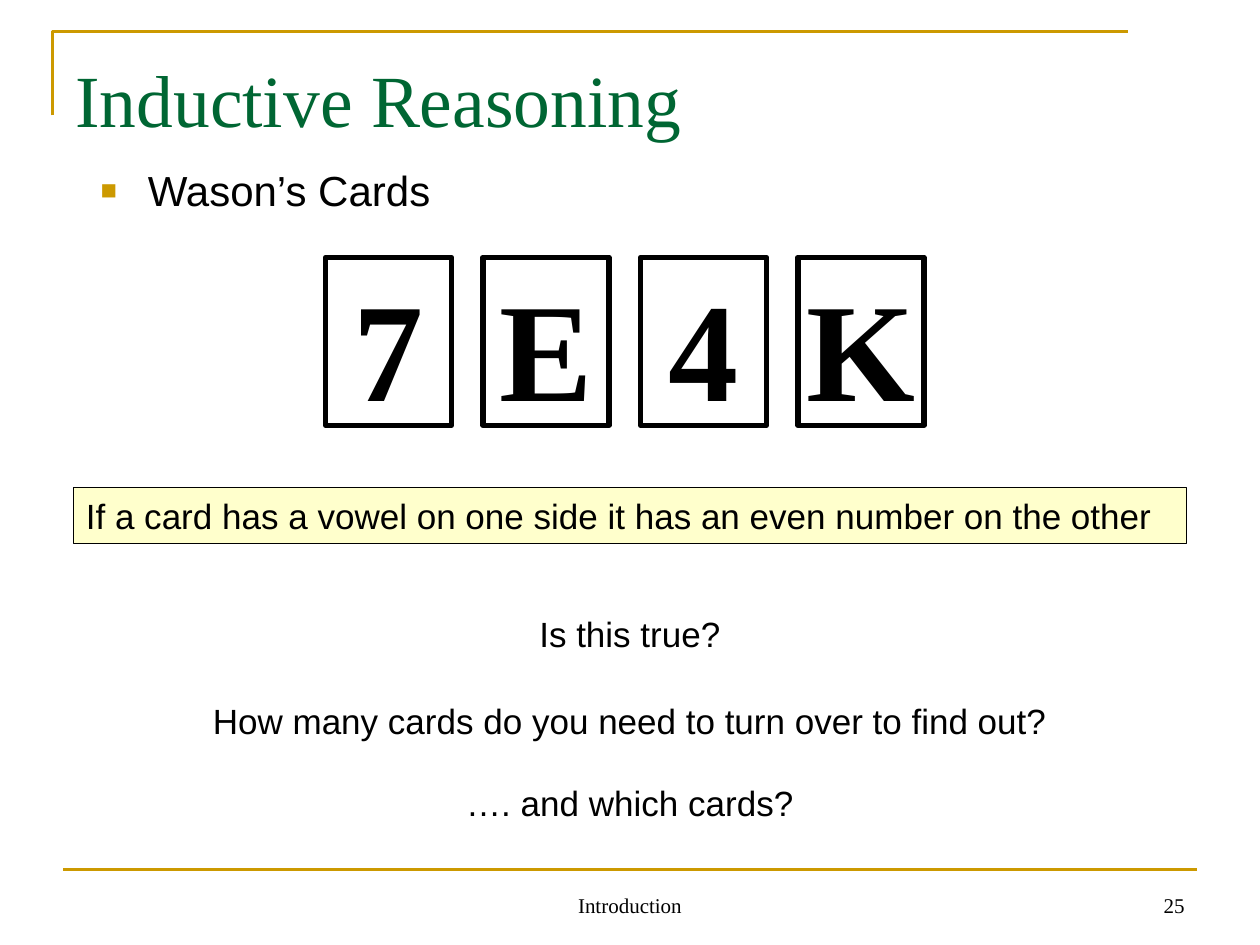
"""Build the Inductive Reasoning slide on Wason's cards."""
import pptx
import pptx.dml.color
import pptx.enum.shapes
import pptx.enum.text
import pptx.oxml.ns
import pptx.util
from lxml import etree

Pt = pptx.util.Pt
ALIGN = pptx.enum.text.PP_ALIGN
ANCHOR = pptx.enum.text.MSO_ANCHOR
COLORS = {"gold": "CC9900", "green": "006633", "ink": "000000", "note": "FFFFCC"}
SERIF = {"name": "Times New Roman", "size": Pt(12), "bold": False}
SANS = {"name": "Arial", "size": Pt(20), "bold": False}


def rgb(name):
    return pptx.dml.color.RGBColor.from_string(COLORS[name])


def set_attributes(target, values):
    for name, value in values.items():
        setattr(target, name, value)


def set_line(line, color, width):
    line.color.rgb = rgb(color)
    line.width = Pt(width)


def write(shape, lines, font, color="ink", align=ALIGN.LEFT, anchor=ANCHOR.TOP,
          insets=(7.2, 3.6, 7.2, 3.6), gaps=(0,)):
    frame = shape.text_frame
    sides = ("margin_left", "margin_top", "margin_right", "margin_bottom")
    set_attributes(frame, dict(zip(sides, map(Pt, insets))))
    set_attributes(frame, {"word_wrap": True, "vertical_anchor": anchor})
    frame.text = "\n".join(lines)
    for paragraph, gap in zip(frame.paragraphs, gaps):
        set_attributes(paragraph, {"alignment": align, "space_before": Pt(gap)})
        for run in paragraph.runs:
            set_attributes(run.font, font)
            run.font.color.rgb = rgb(color)


def add_text(slide, box, lines, font, **options):
    shape = slide.shapes.add_textbox(*map(Pt, box))
    write(shape, lines, font, **options)
    return shape


def add_box(slide, box, text, font, line_width, fill=None, **options):
    shape = slide.shapes.add_shape(
        pptx.enum.shapes.MSO_SHAPE.RECTANGLE, *map(Pt, box))
    shape.shadow.inherit = False
    if fill:
        shape.fill.solid()
        shape.fill.fore_color.rgb = rgb(fill)
    else:
        shape.fill.background()
    set_line(shape.line, "ink", line_width)
    write(shape, [text], font, anchor=ANCHOR.MIDDLE, **options)


def add_bullet(paragraph, indent):
    properties = paragraph._p.get_or_add_pPr()
    properties.set("marL", str(Pt(indent)))
    properties.set("indent", str(-Pt(indent)))
    qn = pptx.oxml.ns.qn
    color = etree.SubElement(properties, qn("a:buClr"))
    etree.SubElement(color, qn("a:srgbClr"), val=COLORS["gold"])
    etree.SubElement(properties, qn("a:buSzPct"), val="65000")
    etree.SubElement(properties, qn("a:buFont"), typeface="Arial")
    etree.SubElement(properties, qn("a:buChar"), char="■")


def add_corner(slide):
    builder = slide.shapes.build_freeform(Pt(30), Pt(66))
    builder.add_line_segments([(Pt(30), Pt(18)), (Pt(644.4), Pt(18))], close=False)
    corner = builder.convert_to_shape()
    corner.shadow.inherit = False
    corner.fill.background()
    set_line(corner.line, "gold", 1.5)


def add_rule(slide, left, right, top):
    rule = slide.shapes.add_connector(
        pptx.enum.shapes.MSO_CONNECTOR.STRAIGHT, Pt(left), Pt(top), Pt(right), Pt(top))
    set_line(rule.line, "gold", 1.5)
    etree.SubElement(rule._element.spPr, pptx.oxml.ns.qn("a:effectLst"))


def add_cards(slide, symbols):
    font = {**SERIF, "size": Pt(80), "bold": True}
    for index, symbol in enumerate(symbols):
        add_box(slide, (186 + 90 * index, 147, 72, 96), symbol, font, 3,
                align=ALIGN.CENTER, insets=(0, 5, 0, 0))


def main():
    presentation = pptx.Presentation()
    set_attributes(presentation, {"slide_width": Pt(720), "slide_height": Pt(540)})
    slide = presentation.slides.add_slide(presentation.slide_layouts[6])
    add_corner(slide)
    add_rule(slide, 36, 684, 496.8)
    add_text(slide, (246, 492, 228, 36), ["Introduction"], SERIF,
             align=ALIGN.CENTER, anchor=ANCHOR.BOTTOM)
    add_text(slide, (516, 492, 168, 36), ["25"], SERIF,
             align=ALIGN.RIGHT, anchor=ANCHOR.BOTTOM)
    add_text(slide, (36, 21.6, 648, 90), ["Inductive Reasoning"],
             {**SERIF, "size": Pt(42)}, color="green", insets=(7.2, 9, 7.2, 3.6))
    topic = add_text(slide, (50.4, 77, 643, 357), ["Wason’s Cards"],
                     {**SANS, "size": Pt(24)}, insets=(7.2, 17.3, 7.2, 3.6))
    add_bullet(topic.text_frame.paragraphs[0], 27)
    questions = ["Is this true?",
                 "How many cards do you need to turn over to find out?",
                 "…. and which cards?"]
    add_text(slide, (54, 346.3, 612, 138), questions, SANS,
             align=ALIGN.CENTER, gaps=(0, 26, 23))
    add_box(slide, (42, 278.7, 636, 31.7),
            "If a card has a vowel on one side it has an even number on the other",
            SANS, 0.25, fill="note")
    add_cards(slide, "7E4K")
    presentation.save("out.pptx")


if __name__ == "__main__":
    main()
